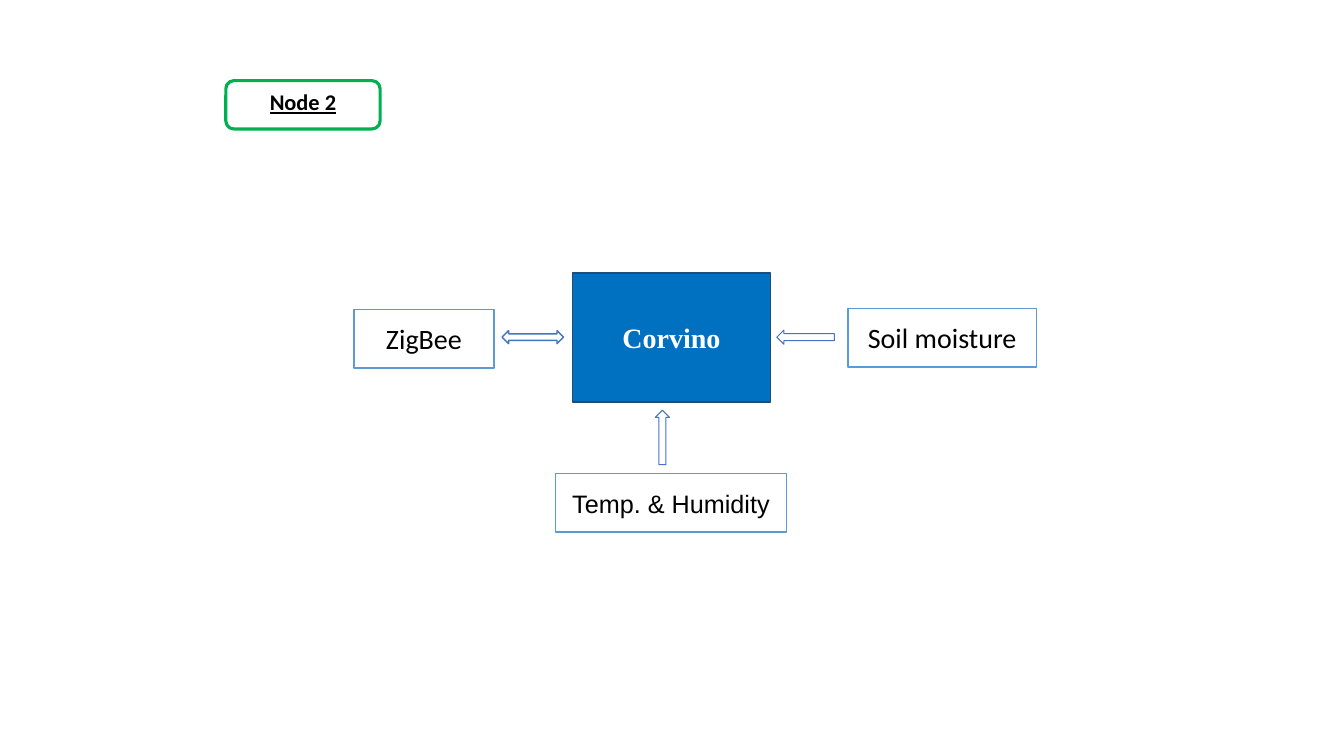
import pptx
import pptx.dml.color
import pptx.enum.shapes
import pptx.enum.text
import pptx.util

Inches = pptx.util.Inches
Pt = pptx.util.Pt
SHAPE = pptx.enum.shapes.MSO_SHAPE
ANCHOR = pptx.enum.text.MSO_ANCHOR

COLORS = {
    "white": "FFFFFF",
    "black": "000000",
    "board": "0070C0",
    "board_edge": "1F4D78",
    "sensor_edge": "5B9BD5",
    "arrow": "4472C4",
    "node": "00B050",
}


class NodeDiagram:
    def __init__(self, slide):
        self.slide = slide

    def color(self, name):
        return pptx.dml.color.RGBColor.from_string(COLORS[name])

    def outline(self, kind, box, fill, line, width):
        shape = self.slide.shapes.add_shape(kind, *map(Inches, box))
        shape.shadow.inherit = False
        if fill:
            shape.fill.solid()
            shape.fill.fore_color.rgb = self.color(fill)
        else:
            shape.fill.background()
        shape.line.color.rgb = self.color(line)
        shape.line.width = Pt(width)
        return shape

    def label(self, shape, text, font, size, color="black", bold=False,
              underline=False, anchor=ANCHOR.MIDDLE):
        frame = shape.text_frame
        frame.word_wrap = True
        frame.vertical_anchor = anchor
        paragraph = frame.paragraphs[0]
        paragraph.text = text
        paragraph.alignment = pptx.enum.text.PP_ALIGN.CENTER
        paragraph.font.name = font
        paragraph.font.size = Pt(size)
        paragraph.font.bold = bold
        paragraph.font.underline = underline
        paragraph.font.color.rgb = self.color(color)

    def board(self, text, box):
        shape = self.outline(SHAPE.RECTANGLE, box, "board", "board_edge", 1)
        self.label(shape, text, "Times New Roman", 20, "white", bold=True)

    def peripheral(self, text, left, top, width, font="Calibri", size=20):
        box = (left, top, width, 0.58)
        shape = self.outline(SHAPE.RECTANGLE, box, "white", "sensor_edge", 1)
        self.label(shape, text, font, size)

    def title(self, text, box):
        shape = self.outline(SHAPE.ROUNDED_RECTANGLE, box, "white", "node", 2.25)
        shape.adjustments[0] = 0.167
        self.label(shape, text, "Calibri", 16, bold=True, underline=True,
                   anchor=ANCHOR.TOP)

    def input_arrow(self, box, rotation=0):
        shape = self.outline(SHAPE.UP_ARROW, box, None, "arrow", 0.75)
        shape.rotation = rotation

    def exchange_arrow(self, box):
        self.outline(SHAPE.LEFT_RIGHT_ARROW, box, "white", "arrow", 1)


def main():
    presentation = pptx.Presentation()
    presentation.slide_width = Inches(13.33)
    presentation.slide_height = Inches(7.5)
    diagram = NodeDiagram(presentation.slides.add_slide(presentation.slide_layouts[6]))

    diagram.board("Corvino", (5.68, 2.71, 1.96, 1.28))
    diagram.peripheral("Soil moisture", 8.41, 3.06, 1.87)
    diagram.peripheral("ZigBee", 3.51, 3.07, 1.39)
    diagram.peripheral("Temp. & Humidity", 5.51, 4.7, 2.29, "Arial", 18)
    diagram.input_arrow((7.92, 3.06, 0.14, 0.57), rotation=270)
    diagram.input_arrow((6.5, 4.07, 0.14, 0.54))
    diagram.title("Node 2", (2.24, 0.8, 1.53, 0.48))
    diagram.exchange_arrow((4.98, 3.28, 0.61, 0.13))

    presentation.save("out.pptx")


if __name__ == "__main__":
    main()
